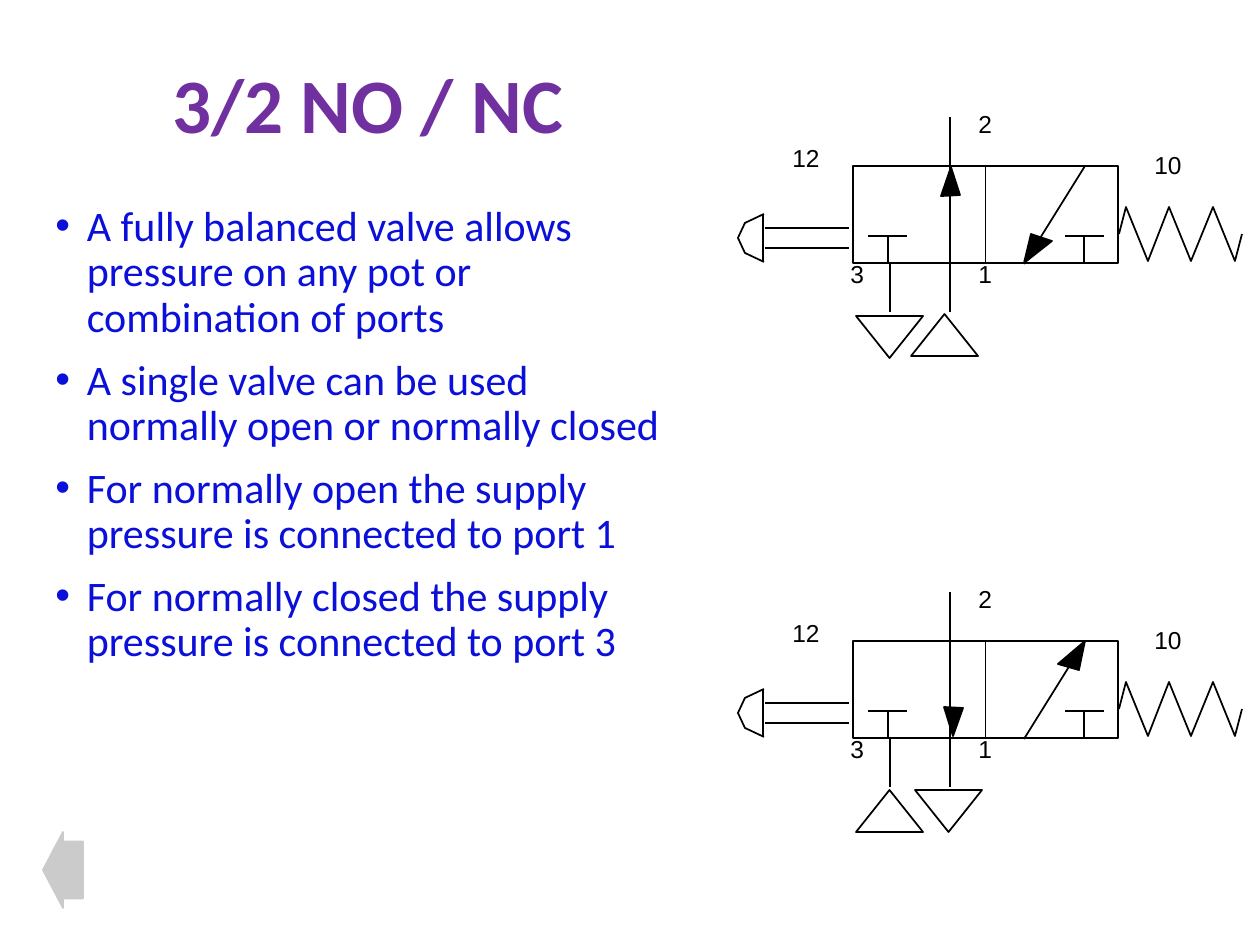
from lxml import etree
from pptx import Presentation
from pptx.dml.color import RGBColor
from pptx.enum.shapes import MSO_CONNECTOR, MSO_SHAPE
from pptx.enum.text import MSO_ANCHOR
from pptx.oxml.ns import qn
from pptx.util import Pt

PX = 914400 / 126  # EMU per px, 126 px to the inch
W, H = 1260, 945

PURPLE = RGBColor(0x70, 0x30, 0xA0)
BLUE = RGBColor(0x0A, 0x0F, 0xDA)
BLACK = RGBColor(0, 0, 0)
GREY = RGBColor(0xCB, 0xCB, 0xCB)
STRAIGHT = MSO_CONNECTOR.STRAIGHT
RECT, TRIANGLE, LEFT_ARROW = MSO_SHAPE.RECTANGLE, MSO_SHAPE.ISOSCELES_TRIANGLE, MSO_SHAPE.LEFT_ARROW
TOP, MIDDLE = MSO_ANCHOR.TOP, MSO_ANCHOR.MIDDLE

TITLE = "3/2 NO / NC"
BULLETS = [
    "A fully balanced valve allows pressure on any pot or combination of ports",
    "A single valve can be used normally open or normally closed",
    "For normally open the supply pressure is connected to port 1",
    "For normally closed the supply pressure is connected to port 3",
]

# Valve symbol, in px from the top left corner of its body
BODY_X, BODY_W, BODY_H = 853, 265, 97
LINES = [
    (97, 97, 97, 146), (37, 97, 37, 146), (97, -49, 97, 0),   # ports 1, 3, 2
    (231, 70, 231, 98), (212, 70, 251, 70),                   # blocked port, right
    (35, 70, 35, 98), (15, 70, 54, 70),                       # blocked port, left
    (232, 0, 171, 98), (97, 98, 97, 0),                       # flow paths
    (-90, 48, -90, 96), (-88, 62, -4, 62), (-88, 82, -4, 82), # push button
]
BUTTON = [(-89, 48), (-108, 57), (-115, 72), (-108, 87), (-89, 96)]
SPRING = [(266, 68), (273, 41), (295, 95), (316, 41), (338, 95), (360, 41), (382, 95), (389, 68)]
LABELS = [("1", 113, 87, 39), ("2", 113, -63, 39), ("3", -15, 87, 39),
          ("12", -73, -29, 53), ("10", 289, -22, 53)]
TRI_W, TRI_H = 67, 42

# What differs between the normally open and normally closed valve
VALVES = [
    {"top": 166, "up": (58, 148), "down": (3, 150),
     "heads": [[(98, 1), (88, 30), (107, 29)], [(171, 97), (178, 68), (199, 75)]]},
    {"top": 641, "up": (3, 149), "down": (62, 149),
     "heads": [[(100, 95), (91, 66), (110, 67)], [(232, 0), (226, 29), (205, 23)]]},
]


def emu(*lengths):
    return [round(v * PX) for v in lengths]


def paint(s, fill=None, line=BLACK):
    s.shadow.inherit = False
    if fill is None:
        s.fill.background()
    else:
        s.fill.solid()
        s.fill.fore_color.rgb = fill
    s.line.color.rgb = line
    s.line.width = Pt(1)


def add_preset(shapes, kind, x, y, w, h, **colours):
    s = shapes.add_shape(kind, *emu(x, y, w, h))
    paint(s, **colours)
    return s


def add_line(shapes, x1, y1, x2, y2):
    s = shapes.add_connector(STRAIGHT, *emu(x1, y1, x2, y2))
    s.line.color.rgb = BLACK
    s.line.width = Pt(1)
    etree.SubElement(s._element.spPr, qn("a:effectLst"))
    return s


def add_outline(shapes, points, close=False, fill=None):
    pts = [emu(*p) for p in points]
    fb = shapes.build_freeform(*pts[0], scale=1.0)
    fb.add_line_segments(pts[1:], close=close)
    paint(fb.convert_to_shape(), fill)


def add_text(shapes, x, y, w, h, anchor=TOP, wrap=True):
    tf = shapes.add_textbox(*emu(x, y, w, h)).text_frame
    tf.word_wrap = wrap
    tf.vertical_anchor = anchor
    return tf


def add_run(p, text, font, size, colour, bold=False):
    r = p.add_run()
    r.text = text
    r.font.name, r.font.size, r.font.bold = font, Pt(size), bold
    r.font.color.rgb = colour


def add_bullet(p):
    pPr = p._p.get_or_add_pPr()
    pPr.set("marL", "228600")
    pPr.set("indent", "-228600")
    clr = etree.SubElement(pPr, qn("a:buClr"))
    etree.SubElement(clr, qn("a:srgbClr"), val=str(BLUE))
    etree.SubElement(pPr, qn("a:buFont"), typeface="Arial")
    etree.SubElement(pPr, qn("a:buChar"), char="•")


def add_valve(shapes, valve):
    g = shapes.add_group_shape().shapes
    top = valve["top"]

    def place(points):
        return [(BODY_X + x, top + y) for x, y in points]

    # Arrowheads, body and its divider
    for head in valve["heads"]:
        add_outline(g, place(head), close=True, fill=BLACK)
    body = add_preset(g, RECT, BODY_X, top, BODY_W, BODY_H)
    mid = BODY_X + BODY_W / 2
    divider = add_line(g, mid, top, mid, top + BODY_H)
    divider.begin_connect(body, 0)
    divider.end_connect(body, 2)

    # Lines, push button and spring
    for x1, y1, x2, y2 in LINES:
        add_line(g, BODY_X + x1, top + y1, BODY_X + x2, top + y2)
    add_outline(g, place(BUTTON))
    add_outline(g, place(SPRING))

    # Supply and exhaust triangles
    for key, angle in (("up", 0), ("down", 180)):
        x, y = valve[key]
        add_preset(g, TRIANGLE, BODY_X + x, top + y, TRI_W, TRI_H).rotation = angle

    # Port numbers
    for text, x, y, w in LABELS:
        tf = add_text(g, BODY_X + x, top + y, w, 42, wrap=False)
        add_run(tf.paragraphs[0], text, "Arial", 14, BLACK)


prs = Presentation()
prs.slide_width, prs.slide_height = emu(W, H)
shapes = prs.slides.add_slide(prs.slide_layouts[6]).shapes

# Title
p = add_text(shapes, 160, 58, 941, 102, anchor=MIDDLE).paragraphs[0]
p.line_spacing = 0.9
add_run(p, TITLE, "Calibri", 44, PURPLE, bold=True)

# Bullet list
tf = add_text(shapes, 43, 199, 640, 620)
for i, text in enumerate(BULLETS):
    p = tf.add_paragraph() if i else tf.paragraphs[0]
    add_bullet(p)
    p.line_spacing = 0.9
    p.space_before = Pt(10 if i else 0)
    add_run(p, text, "Calibri", 24, BLUE)

# Valve symbols
for valve in VALVES:
    add_valve(shapes, valve)

# Back arrow
arrow = add_preset(shapes, LEFT_ARROW, 43, 832, 40, 76, fill=GREY, line=GREY)
arrow.adjustments[0], arrow.adjustments[1] = 0.75, 0.5

prs.save("out.pptx")
